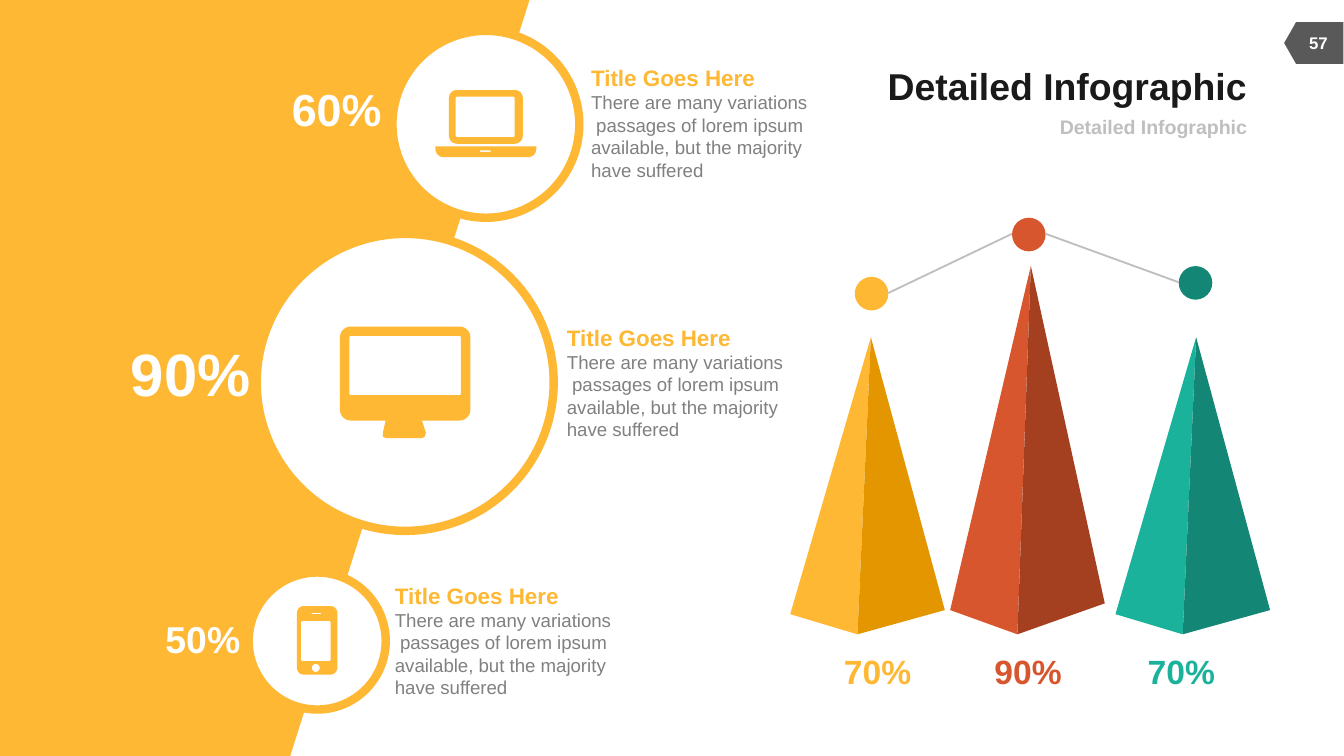
import dataclasses
import math

import lxml.etree
import pptx
import pptx.dml.color
import pptx.enum.shapes
import pptx.enum.text
import pptx.oxml.ns
import pptx.util

Inches = pptx.util.Inches
Shape = pptx.enum.shapes.MSO_SHAPE
Align = pptx.enum.text.PP_ALIGN
Anchor = pptx.enum.text.MSO_ANCHOR
AutoSize = pptx.enum.text.MSO_AUTO_SIZE

PAGE_WIDTH = 10
PAGE_HEIGHT = PAGE_WIDTH * 9 / 16


@dataclasses.dataclass(frozen=True)
class Theme:
    font: str = "Arial"
    white: str = "FFFFFF"
    ink: str = "1A1A1A"
    gray: str = "808080"
    silver: str = "BFBFBF"
    slate: str = "595959"
    amber: str = "FEB834"
    dark_amber: str = "E49601"
    rust: str = "D7562E"
    dark_rust: str = "A43F1F"
    teal: str = "1BB29C"
    dark_teal: str = "148675"
    title: float = 20
    subtitle: float = 10.5
    number: float = 9
    heading: float = 12
    body: float = 10
    value: float = 18
    small_share: float = 20
    medium_share: float = 24
    large_share: float = 32


def rgb(color):
    return pptx.dml.color.RGBColor.from_string(color)


def rounded(left, top, right, bottom, top_radius, bottom_radius=None):
    low = top_radius if bottom_radius is None else bottom_radius
    corners = (
        (right - low, bottom - low, low, 0),
        (left + low, bottom - low, low, 90),
        (left + top_radius, top + top_radius, top_radius, 180),
        (right - top_radius, top + top_radius, top_radius, 270),
    )
    return [
        (x + radius * math.cos(math.radians(start + step)),
         y + radius * math.sin(math.radians(start + step)))
        for x, y, radius, start in corners
        for step in range(0, 91, 15)
    ]


class SlideBuilder:
    def __init__(self, page, theme):
        self.page = page
        self.theme = theme

    def paint(self, shape, fill, line=None, weight=0):
        shape.shadow.inherit = False
        shape.fill.solid()
        shape.fill.fore_color.rgb = rgb(fill)
        if line:
            shape.line.color.rgb = rgb(line)
            shape.line.width = pptx.util.Pt(weight)
        else:
            shape.line.fill.background()

    def preset(self, kind, left, top, width, height, fill, line=None, weight=0):
        shape = self.page.shapes.add_shape(
            kind, Inches(left), Inches(top), Inches(width), Inches(height))
        self.paint(shape, fill, line, weight)
        return shape

    def outline(self, contours, fill, shapes=None):
        shapes = self.page.shapes if shapes is None else shapes
        contours = [[(Inches(x), Inches(y)) for x, y in points] for points in contours]
        builder = shapes.build_freeform(*contours[0][0])
        for index, points in enumerate(contours):
            if index:
                builder.move_to(*points[0])
            builder.add_line_segments(points[1:], close=True)
        self.paint(builder.convert_to_shape(), fill)

    def pyramid(self, left, apex, left_corner, right_corner, light, dark):
        group = self.page.shapes.add_group_shape()
        peak, foot = (left + 0.6, apex), (left + 0.5, 4.72)
        self.outline([[peak, foot, (left, left_corner)]], light, group.shapes)
        self.outline([[foot, peak, (left + 1.15, right_corner)]], dark, group.shapes)

    def connector(self, x1, y1, x2, y2):
        line = self.page.shapes.add_connector(
            pptx.enum.shapes.MSO_CONNECTOR.STRAIGHT,
            Inches(x1), Inches(y1), Inches(x2), Inches(y2))
        line.line.color.rgb = rgb(self.theme.silver)
        line.line.width = pptx.util.Pt(1)
        properties = line._element.spPr
        lxml.etree.SubElement(properties, pptx.oxml.ns.qn("a:effectLst"))

    def style(self, para, size, color, bold=True, align=Align.LEFT):
        para.alignment = align
        para.space_before = pptx.util.Pt(0)
        para.font.name = self.theme.font
        para.font.size = pptx.util.Pt(size)
        para.font.bold = bold
        para.font.color.rgb = rgb(color)

    def fill_line(self, box, text, size, color, align=Align.CENTER,
                  anchor=Anchor.MIDDLE, wrap=False):
        frame = box.text_frame
        frame.margin_left = frame.margin_right = 0
        frame.margin_top = frame.margin_bottom = 0
        frame.word_wrap = wrap
        frame.auto_size = AutoSize.NONE
        frame.vertical_anchor = anchor
        frame.text = text
        self.style(frame.paragraphs[0], size, color, align=align)

    def placeholder(self, box, place, text, size, color, wrap):
        box.left, box.top, box.width, box.height = map(Inches, place)
        self.fill_line(box, text, size, color, Align.RIGHT, wrap=wrap)

    def text_box(self, left, top, width, height):
        return self.page.shapes.add_textbox(
            Inches(left), Inches(top), Inches(width), Inches(height))

    def label(self, place, text, size, color, anchor=Anchor.MIDDLE):
        self.fill_line(self.text_box(*place), text, size, color, anchor=anchor)

    def description(self, left, top, heading, body):
        frame = self.text_box(left, top, 1.83, 0.98).text_frame
        frame.word_wrap = True
        frame.auto_size = AutoSize.SHAPE_TO_FIT_TEXT
        frame.text = heading
        self.style(frame.paragraphs[0], self.theme.heading, self.theme.amber)
        para = frame.add_paragraph()
        para.text = body
        self.style(para, self.theme.body, self.theme.gray, bold=False)


def main():
    deck = pptx.Presentation()
    deck.slide_width, deck.slide_height = Inches(PAGE_WIDTH), Inches(PAGE_HEIGHT)
    page = deck.slides.add_slide(deck.slide_layouts[7])
    theme = Theme()
    slide = SlideBuilder(page, theme)
    title, content, subtitle = page.placeholders
    content.element.getparent().remove(content.element)

    slide.outline([[(0, 0), (3.94, 0), (2.16, PAGE_HEIGHT), (0, PAGE_HEIGHT)]],
                  theme.amber)
    tag = slide.preset(Shape.FLOWCHART_OFFPAGE_CONNECTOR,
                       9.62, 0.1, 0.31, 0.44, theme.slate)
    tag.rotation = 90
    slide.placeholder(title, (3.11, 0.44, 6.17, 0.39), "Detailed Infographic",
                      theme.title, theme.ink, False)
    slide.placeholder(subtitle, (4.78, 0.83, 4.5, 0.22), "Detailed Infographic",
                      theme.subtitle, theme.silver, True)
    slide.label((9.6, 0.17, 0.42, 0.3), "57", theme.number, theme.white)

    laptop = [
        rounded(3.24, 1.09, 3.99, 1.17, 0, 0.06),
        rounded(3.34, 0.67, 3.89, 1.07, 0.06),
        rounded(3.39, 0.72, 3.83, 1.02, 0.01),
        rounded(3.57, 1.12, 3.65, 1.13, 0),
    ]
    monitor = [
        rounded(2.53, 2.43, 3.5, 3.13, 0.08),
        rounded(2.6, 2.5, 3.43, 2.94, 0.01),
        [(2.87, 3.13), (3.14, 3.13), (3.17, 3.22), (3.16, 3.25), (3.14, 3.26),
         (2.87, 3.26), (2.85, 3.25), (2.85, 3.22)],
    ]
    phone = [
        rounded(2.21, 4.51, 2.51, 5.02, 0.05),
        rounded(2.24, 4.62, 2.46, 4.92, 0.01),
        rounded(2.32, 4.56, 2.39, 4.57, 0),
        rounded(2.32, 4.94, 2.38, 5, 0.03),
    ]
    devices = (
        ((2.92, 0.23, 1.39), laptop, "60%", theme.medium_share,
         (2.17, 0.61, 0.67, 0.4), (4.3, 0.43)),
        ((1.91, 1.74, 2.21), monitor, "90%", theme.large_share,
         (0.97, 2.5, 0.9, 0.54), (4.12, 2.36)),
        ((1.85, 4.26, 1.02), phone, "50%", theme.small_share,
         (1.23, 4.58, 0.56, 0.34), (2.84, 4.28)),
    )
    for (left, top, size), icon, percent, type_size, place, corner in devices:
        slide.preset(Shape.OVAL, left, top, size, size, theme.white, theme.amber, 4.5)
        slide.outline(icon, theme.amber)
        slide.label(place, percent, type_size, theme.white)
        slide.description(
            *corner, "Title Goes Here",
            "There are many variations  passages of lorem ipsum available, "
            "but the majority have suffered")

    pyramids = (
        ((5.88, 2.51, 4.57, 4.54), theme.amber, theme.dark_amber,
         (6.36, 2.06), theme.amber, 6.28, "70%"),
        ((7.07, 1.98, 4.54, 4.49), theme.rust, theme.dark_rust,
         (7.53, 1.62), theme.rust, 7.4, "90%"),
        ((8.3, 2.51, 4.57, 4.54), theme.teal, theme.dark_teal,
         (8.77, 1.98), theme.dark_teal, 8.54, "70%"),
    )
    for form, light, dark, dot, dot_color, label_left, percent in pyramids:
        slide.pyramid(*form, light, dark)
        slide.preset(Shape.OVAL, *dot, 0.25, 0.25, dot_color)
        slide.label((label_left, 4.84, 0.5, 0.3), percent, theme.value, light,
                    Anchor.BOTTOM)
    slide.connector(6.61, 2.18, 7.53, 1.74)
    slide.connector(7.78, 1.74, 8.77, 2.1)

    deck.save("out.pptx")


if __name__ == "__main__":
    main()
